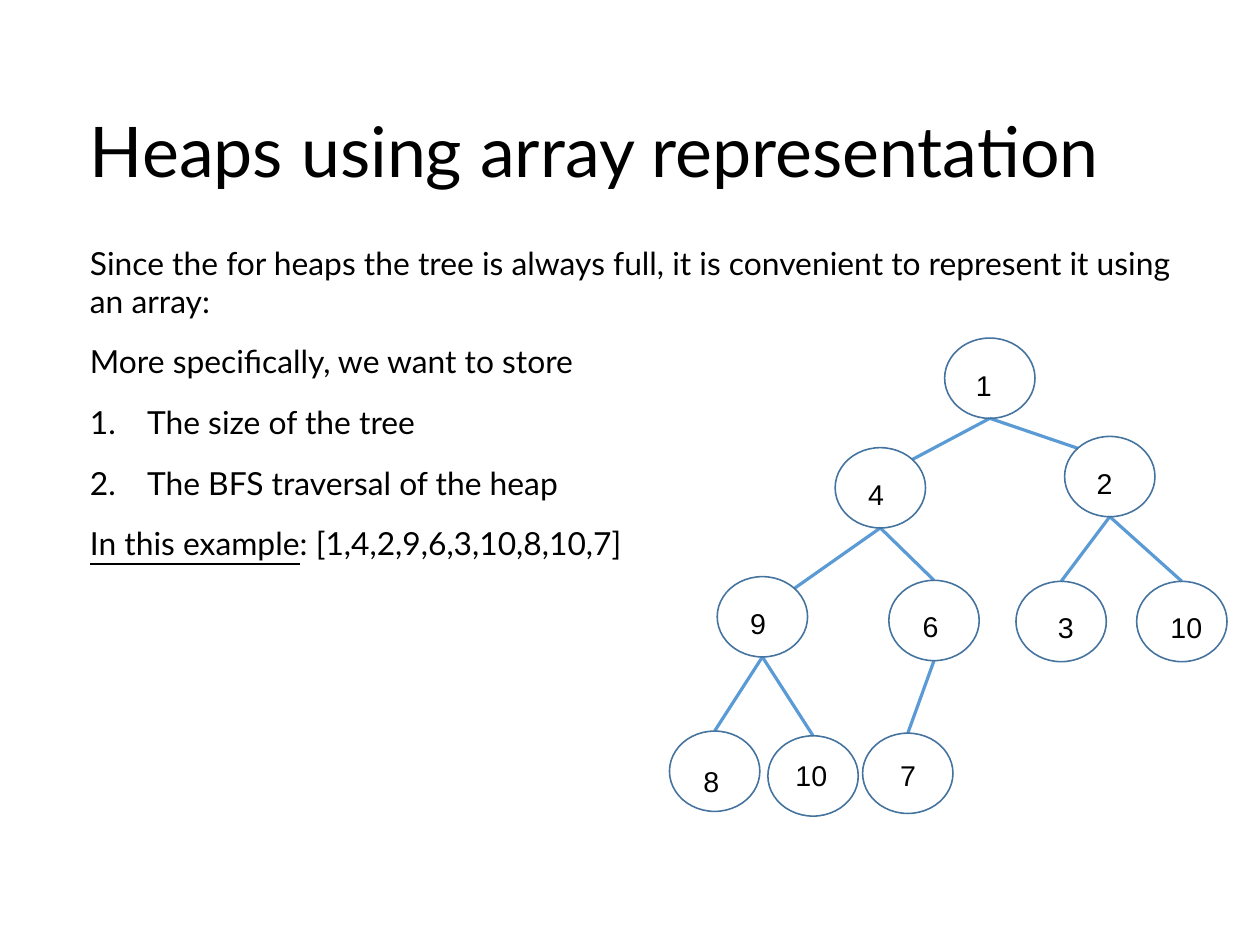
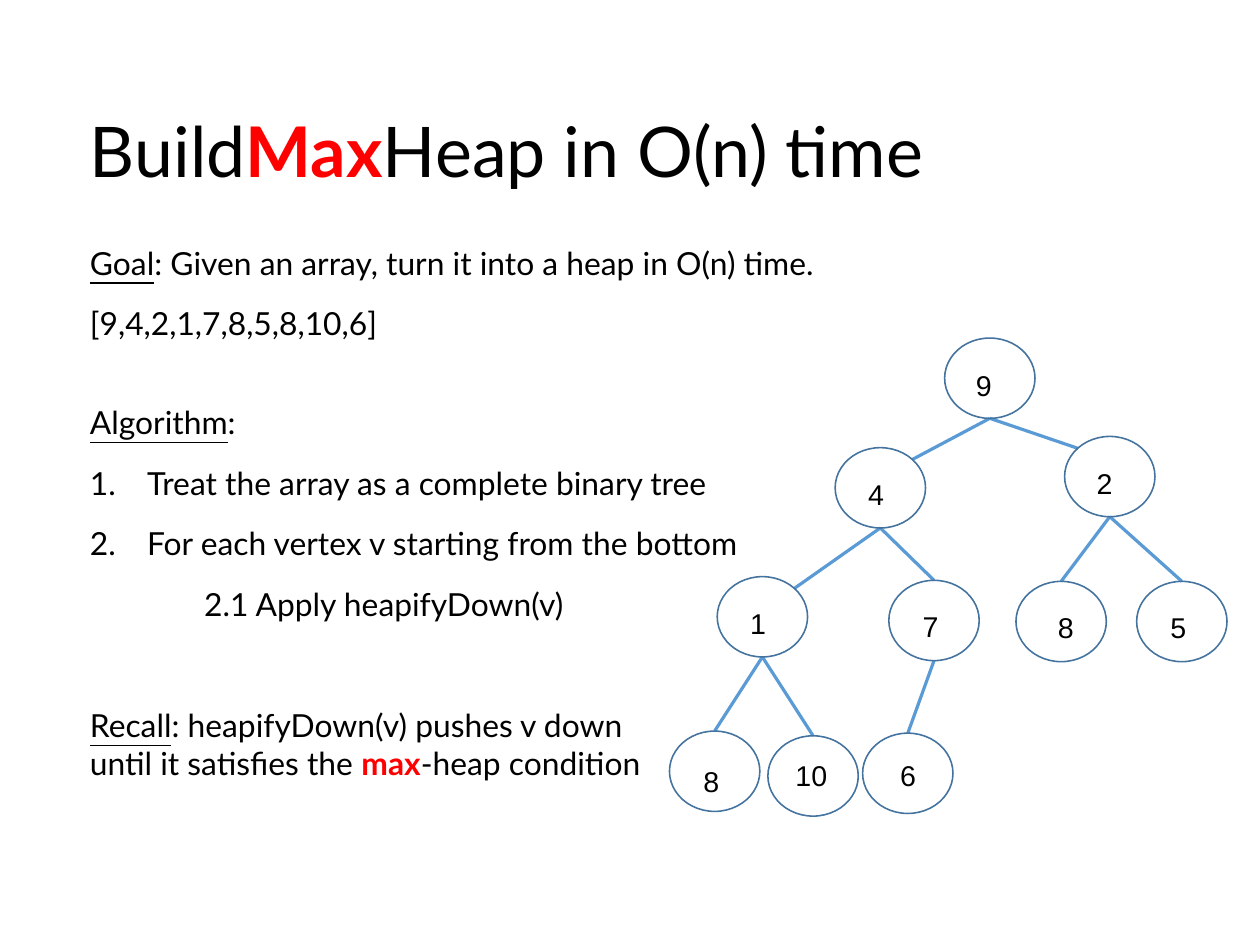
from lxml import etree
from pptx import Presentation
from pptx.dml.color import RGBColor
from pptx.enum.shapes import MSO_CONNECTOR, MSO_SHAPE
from pptx.enum.text import MSO_ANCHOR
from pptx.oxml.ns import qn
from pptx.util import Cm, Inches, Pt

STRAIGHT = MSO_CONNECTOR.STRAIGHT
OVAL = MSO_SHAPE.OVAL
TOP, MIDDLE = MSO_ANCHOR.TOP, MSO_ANCHOR.MIDDLE

COLORS = {"text": "000000", "accent": "FF0000", "outline": "43739E", "edge": "5B9BD5"}
TEXT_FONT, LABEL_FONT = "Lato", "Arial"

prs = Presentation()
prs.slide_width, prs.slide_height = Cm(28), Cm(21)
COL, ROW = prs.slide_width / 100, prs.slide_height / 100

# Shared layout, in columns and rows of a 100 by 100 grid
TITLE_AREA = (7.14, 9.05, 83.95, 13.6)
BODY_AREA = (7.14, 25.75, 87.8, 63)
NODE_W, NODE_H = 7.17 * COL, 8.5 * ROW
LABEL_W, LABEL_H = 5.45 * COL, 4.84 * ROW
DIAGONAL = 0.35  # reach of an oval's 45 degree point, as a share of its size

# Nodes in level order: centre column, top row, label offset as shares of the node
NODES = [
    (78.56, 35.77, 0.22, 0.30),
    (69.87, 47.37, 0.24, 0.30),
    (88.08, 46.18, 0.23, 0.30),
    (60.51, 61.02, 0.24, 0.30),
    (74.13, 61.41, 0.25, 0.29),
    (84.22, 61.52, 0.34, 0.29),
    (93.80, 61.52, 0.25, 0.29),
    (56.72, 77.36, 0.25, 0.34),
    (64.53, 77.86, 0.18, 0.21),
    (72.05, 77.58, 0.29, 0.24),
]
# Side on which an edge meets a child away from its top: 1 right, -1 left
EDGE_SIDE = {1: 1, 2: -1, 3: 1}

# Content: a paragraph is (kind, space before in points, [(text, style), ...])
SLIDES = [
    {
        "title": [("Heaps using array representation", "")],
        "body": [
            ("plain", 0, [("Since the for heaps the tree is always full, it is convenient "
                           "to represent it using an array:", "")]),
            ("plain", 0, [("More specifically, we want to store", "")]),
            ("number", 0, [("The size of the tree", "")]),
            ("number", 0, [("The BFS traversal of the heap", "")]),
            ("plain", 0, [("In this example", "underline"),
                          (": [1,4,2,9,6,3,10,8,10,7]", "")]),
        ],
        "heap": [1, 4, 2, 9, 6, 3, 10, 8, 10, 7],
    },
    {
        "title": [("Build", ""), ("Max", "accent"), ("Heap in O(n) time", "")],
        "body": [
            ("plain", 0, [("Goal", "underline"),
                          (": Given an array, turn it into a heap in O(n) time.", "")]),
            ("plain", 0, [("[9,4,2,1,7,8,5,8,10,6]", "")]),
            ("plain", 24, [("Algorithm", "underline"), (":", "")]),
            ("number", 0, [("Treat the array as a complete binary tree", "")]),
            ("number", 0, [("For each vertex v starting from the bottom", "")]),
            ("substep", 0, [("2.1 Apply heapifyDown(v)", "")]),
            ("plain", 38, [("Recall", "underline"),
                           (": heapifyDown(v) pushes v down", ""), ("\n", ""),
                           ("until it satisfies the ", ""), ("max", "accent"),
                           ("-heap condition", "")]),
        ],
        "heap": [9, 4, 2, 1, 7, 8, 5, 8, 10, 6],
    },
]


def add_text_area(slide, area, anchor):
    left, top, width, height = area
    box = slide.shapes.add_textbox(round(left * COL), round(top * ROW),
                                   round(width * COL), round(height * ROW))
    frame = box.text_frame
    frame.word_wrap = True
    frame.vertical_anchor = anchor
    frame.margin_left = frame.margin_right = frame.margin_top = frame.margin_bottom = 0
    return frame


def write_pieces(paragraph, pieces, size):
    for text, style in pieces:
        if text == "\n":
            paragraph.add_line_break()
            continue
        run = paragraph.add_run()
        run.text = text
        run.font.name, run.font.size = TEXT_FONT, Pt(size)
        run.font.bold = style == "accent"
        run.font.underline = style == "underline"
        color = COLORS["accent" if style == "accent" else "text"]
        run.font.color.rgb = RGBColor.from_string(color)


for content in SLIDES:
    slide = prs.slides.add_slide(prs.slide_layouts[6])

    # Title
    title = add_text_area(slide, TITLE_AREA, MIDDLE)
    write_pieces(title.paragraphs[0], content["title"], 44)

    # Body
    body = add_text_area(slide, BODY_AREA, TOP)
    for index, (kind, gap, pieces) in enumerate(content["body"]):
        paragraph = body.add_paragraph() if index else body.paragraphs[0]
        paragraph.space_before, paragraph.space_after = Pt(gap), Pt(14.2)
        write_pieces(paragraph, pieces, 20)
        props = paragraph._p.get_or_add_pPr()
        if kind == "number":
            props.set("marL", str(Inches(0.5)))
            props.set("indent", str(-Inches(0.5)))
            etree.SubElement(props, qn("a:buAutoNum"), type="arabicPeriod")
        elif kind == "substep":
            props.set("marL", str(Inches(1)))

    # Heap edges: the parent of node i is node (i - 1) // 2
    for child in range(1, len(NODES)):
        parent_x, parent_y = NODES[(child - 1) // 2][:2]
        child_x, child_y = NODES[child][:2]
        end_x, end_y = child_x * COL, child_y * ROW
        if child in EDGE_SIDE:
            end_x += EDGE_SIDE[child] * DIAGONAL * NODE_W
            end_y += (0.5 - DIAGONAL) * NODE_H
        edge = slide.shapes.add_connector(
            STRAIGHT, round(parent_x * COL), round(parent_y * ROW + NODE_H),
            round(end_x), round(end_y))
        edge.line.color.rgb = RGBColor.from_string(COLORS["edge"])
        edge.line.width = Pt(2)
        etree.SubElement(edge._element.spPr, qn("a:effectLst"))

    # Heap nodes and their labels
    for (center, top, label_dx, label_dy), value in zip(NODES, content["heap"]):
        x, y = center * COL - NODE_W / 2, top * ROW
        node = slide.shapes.add_shape(OVAL, round(x), round(y), round(NODE_W), round(NODE_H))
        node.shadow.inherit = False
        node.fill.background()
        node.line.color.rgb = RGBColor.from_string(COLORS["outline"])
        node.line.width = Pt(1)

        label = slide.shapes.add_textbox(
            round(x + label_dx * NODE_W), round(y + label_dy * NODE_H),
            round(LABEL_W), round(LABEL_H)).text_frame
        label.word_wrap = True
        label.text = str(value)
        font = label.paragraphs[0].runs[0].font
        font.name, font.size = LABEL_FONT, Pt(18)
        font.color.rgb = RGBColor.from_string(COLORS["text"])

prs.save("out.pptx")
